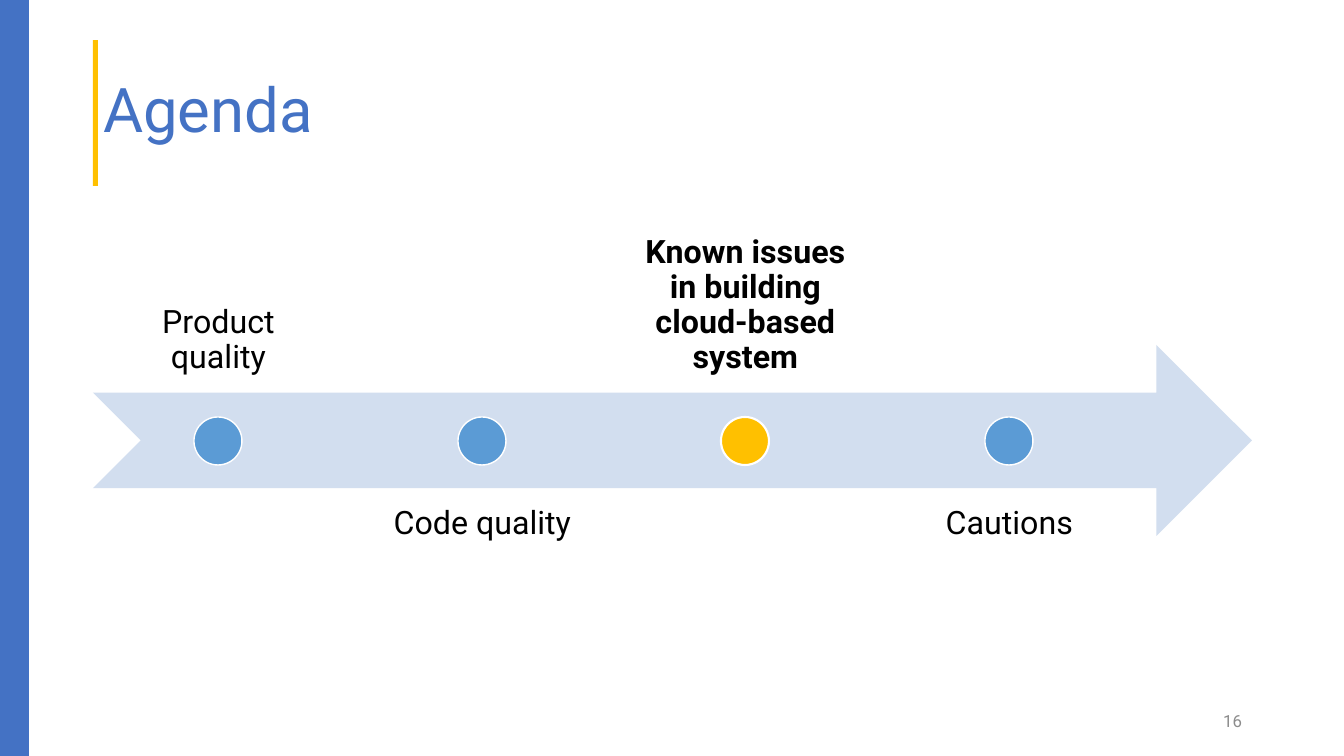
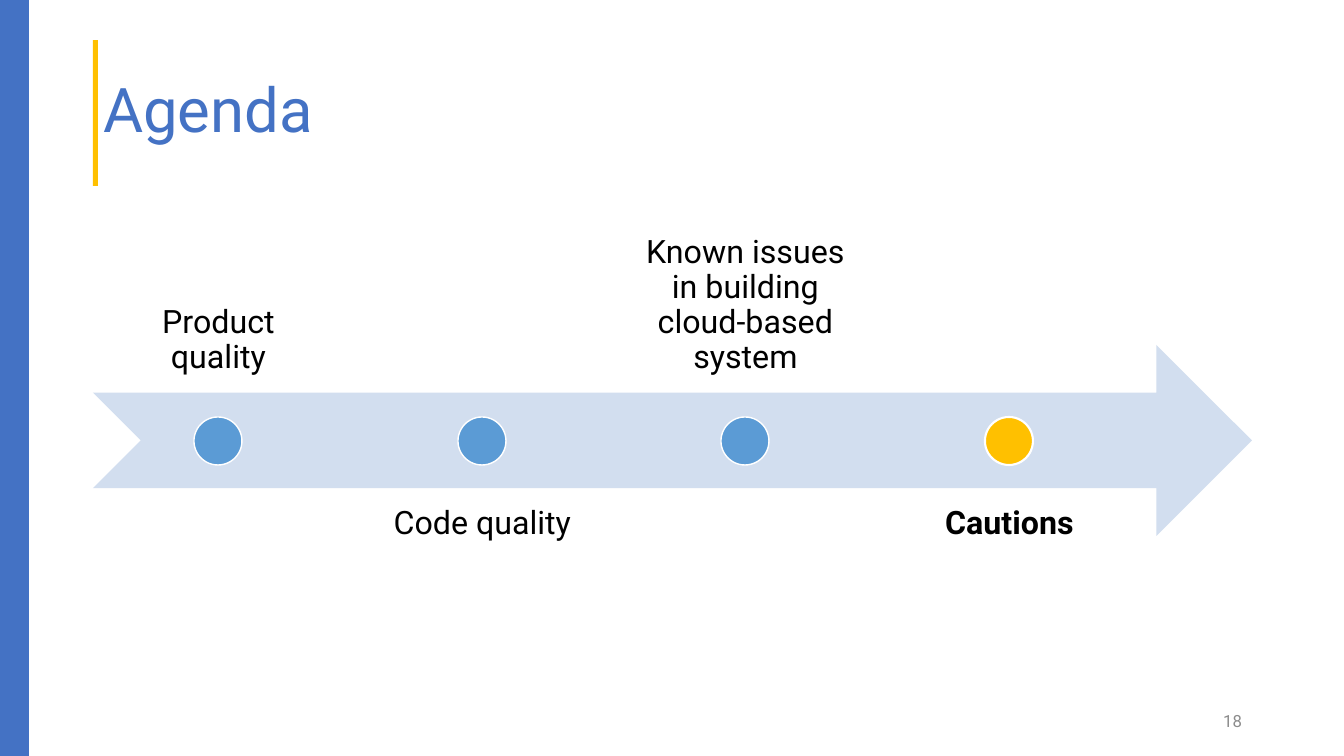
from pptx import Presentation
from pptx.dml.color import RGBColor
from pptx.enum.shapes import MSO_SHAPE
from pptx.enum.text import MSO_ANCHOR, MSO_AUTO_SIZE, PP_ALIGN
from pptx.util import Emu, Pt

SLIDE_WIDTH, SLIDE_HEIGHT = 1344, 756
EMU_PER_PX = 12192000 / SLIDE_WIDTH
TITLE_ONLY_LAYOUT = 5
FONT = "Roboto"
COLORS = {
    "band": "4472C4",
    "accent": "FFC000",
    "arrow": "D2DEEF",
    "dot": "5B9BD5",
    "white": "FFFFFF",
    "text": "000000",
    "number": "8C8C8C",
}

MARGIN, CONTENT_WIDTH = 93, 1159
TITLE_TOP, TITLE_HEIGHT = 40, 146
ARROW_TOP, ARROW_HEIGHT = 345, 191
LABEL_WIDTH, LABEL_INSET = 251, 18
LABEL_TOP_ABOVE, LABEL_TOP_BELOW = 202, 489
LAST_LABEL_OFFSET = 791
DOT_SIZE, DOT_TOP = 48, 417

TOPICS = [
    "Product quality",
    "Code quality",
    "Known issues in building cloud-based system",
    "Cautions",
]
AGENDAS = [("16", 2), ("18", 3)]


def px(length):
    return Emu(round(length * EMU_PER_PX))


def color(name):
    return RGBColor.from_string(COLORS[name])


class Deck:
    def __init__(self):
        self.presentation = Presentation()
        self.presentation.slide_width = px(SLIDE_WIDTH)
        self.presentation.slide_height = px(SLIDE_HEIGHT)
        self.slide = None

    def start_slide(self, title, number):
        layout = self.presentation.slide_layouts[TITLE_ONLY_LAYOUT]
        self.slide = self.presentation.slides.add_slide(layout)
        self.shape(MSO_SHAPE.RECTANGLE, 0, 0, 29, SLIDE_HEIGHT, "band")
        self.shape(MSO_SHAPE.RECTANGLE, MARGIN, TITLE_TOP, 5, TITLE_HEIGHT, "accent")
        self.title(title)
        self.text(number, 950, 701, 302, 40, 12, "number", PP_ALIGN.RIGHT, MSO_ANCHOR.MIDDLE)

    def title(self, text):
        shape = self.slide.shapes.title
        shape.left, shape.top = px(MARGIN), px(TITLE_TOP)
        shape.width, shape.height = px(CONTENT_WIDTH), px(TITLE_HEIGHT)
        self.fill_frame(shape.text_frame, text, 44, "band", PP_ALIGN.LEFT, MSO_ANCHOR.MIDDLE, 0.9)

    def fill_frame(self, frame, text, size, color_name, align, anchor,
                   line_spacing=1.0, bold=False):
        frame.text = text
        frame.word_wrap = True
        frame.auto_size = MSO_AUTO_SIZE.NONE
        frame.vertical_anchor = anchor
        paragraph = frame.paragraphs[0]
        paragraph.alignment = align
        paragraph.line_spacing = line_spacing
        font = paragraph.runs[0].font
        font.name, font.size, font.bold = FONT, Pt(size), bold
        font.color.rgb = color(color_name)

    def text(self, text, left, top, width, height, size, color_name, align, anchor,
             line_spacing=1.0, bold=False, inset=None):
        box = self.slide.shapes.add_textbox(px(left), px(top), px(width), px(height))
        frame = box.text_frame
        if inset is not None:
            frame.margin_left = frame.margin_right = px(inset)
            frame.margin_top = frame.margin_bottom = px(inset)
        self.fill_frame(frame, text, size, color_name, align, anchor, line_spacing, bold)

    def shape(self, kind, left, top, width, height, fill, line_width=None):
        shape = self.slide.shapes.add_shape(kind, px(left), px(top), px(width), px(height))
        shape.shadow.inherit = False
        shape.fill.solid()
        shape.fill.fore_color.rgb = color(fill)
        if line_width is None:
            shape.line.fill.background()
        else:
            shape.line.color.rgb = color("white")
            shape.line.width = Pt(line_width)

    def timeline(self, topics, current):
        self.shape(MSO_SHAPE.NOTCHED_RIGHT_ARROW, MARGIN, ARROW_TOP,
                   CONTENT_WIDTH, ARROW_HEIGHT, "arrow")
        for index, topic in enumerate(topics):
            active = index == current
            above = index % 2 == 0
            left = MARGIN + round(index * LAST_LABEL_OFFSET / (len(topics) - 1))
            self.text(topic, left, LABEL_TOP_ABOVE if above else LABEL_TOP_BELOW,
                      LABEL_WIDTH, ARROW_HEIGHT, 23, "text", PP_ALIGN.CENTER,
                      MSO_ANCHOR.BOTTOM if above else MSO_ANCHOR.TOP,
                      0.9, active, LABEL_INSET)
            self.shape(MSO_SHAPE.OVAL, left + (LABEL_WIDTH - DOT_SIZE) // 2, DOT_TOP,
                       DOT_SIZE, DOT_SIZE, "accent" if active else "dot",
                       1.5 if active else 1)


def main():
    deck = Deck()
    for number, current in AGENDAS:
        deck.start_slide("Agenda", number)
        deck.timeline(TOPICS, current)
    deck.presentation.save("out.pptx")


if __name__ == "__main__":
    main()
